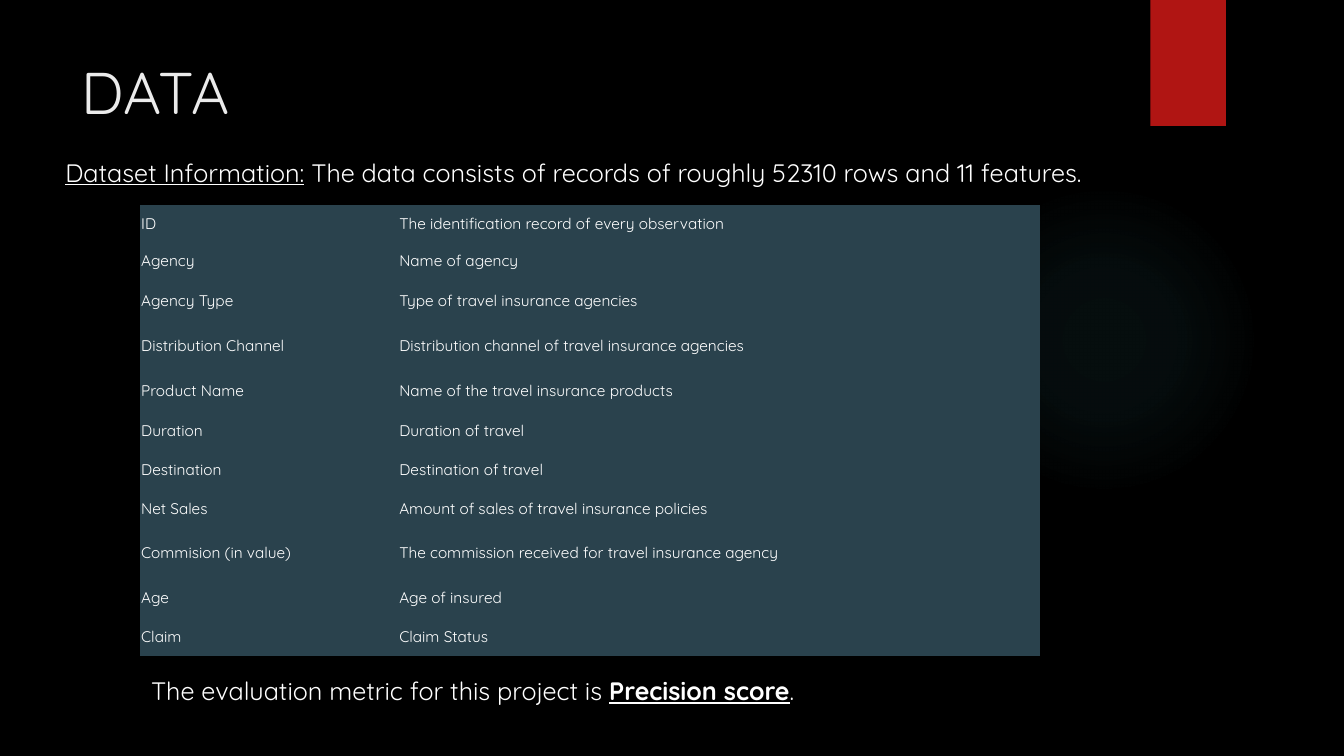
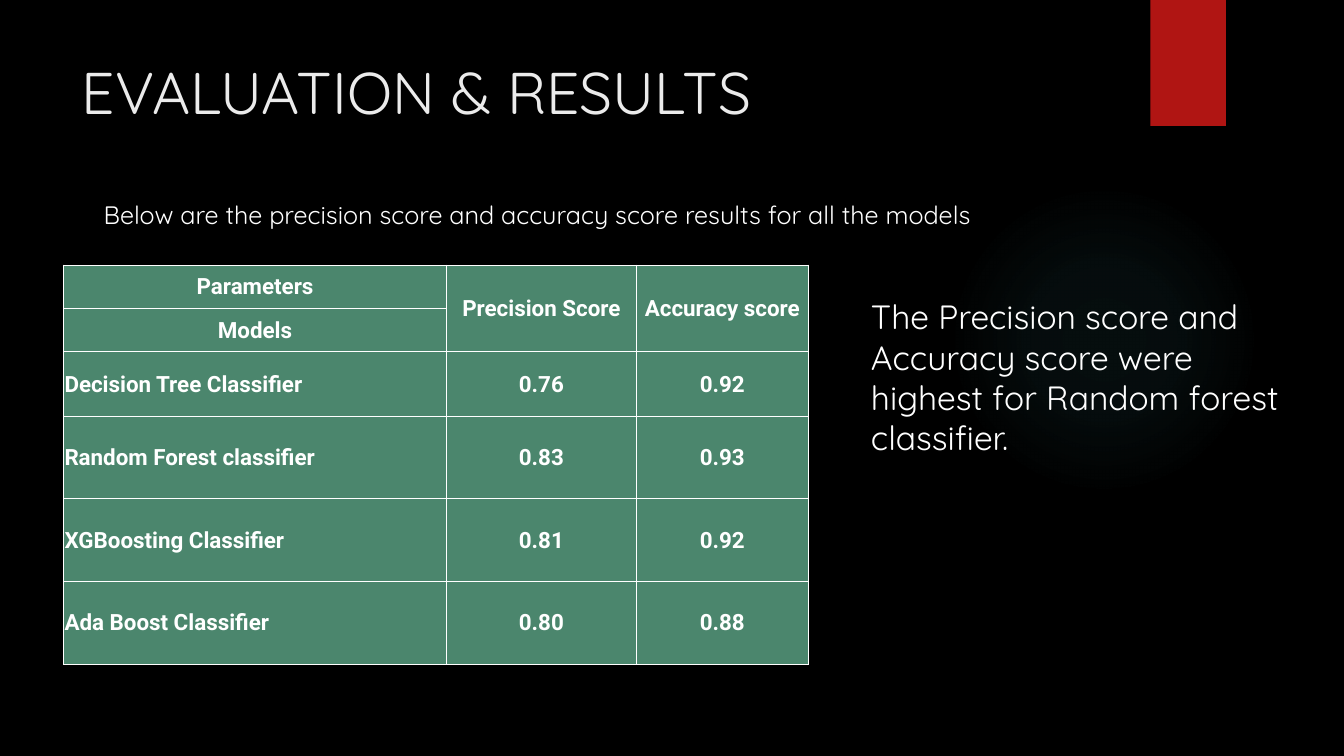
from lxml import etree
from pptx import Presentation
from pptx.dml.color import RGBColor
from pptx.enum.shapes import MSO_SHAPE
from pptx.enum.text import MSO_ANCHOR, MSO_AUTO_SIZE, PP_ALIGN
from pptx.oxml.ns import qn
from pptx.util import Inches, Pt

LEFT, CENTER = PP_ALIGN.LEFT, PP_ALIGN.CENTER
TOP, MIDDLE = MSO_ANCHOR.TOP, MSO_ANCHOR.MIDDLE
NO_AUTOFIT = MSO_AUTO_SIZE.NONE
ELLIPSE, RECTANGLE = MSO_SHAPE.OVAL, MSO_SHAPE.RECTANGLE
TITLE_ONLY = 5

BLACK, WHITE, TITLE_GREY = "000000", "FFFFFF", "EBEBEB"
RED, GLOW_TEAL = "B01513", "50B9C1"
SLATE, GREEN = "2A424D", "4B866D"
BODY_FONT, SCORE_FONT = "Quicksand", "Roboto"
GLOW_STOPS = [(0, 7), (36, 6), (69, 0)]  # position and opacity, in percent

DATA_ROWS = [
    ("ID", "The identification record of every observation"),
    ("Agency", "Name of agency"),
    ("Agency Type", "Type of travel insurance agencies"),
    ("Distribution Channel", "Distribution channel of travel insurance agencies"),
    ("Product Name", "Name of the travel insurance products"),
    ("Duration", "Duration of travel"),
    ("Destination", "Destination of travel"),
    ("Net Sales", "Amount of sales of travel insurance policies"),
    ("Commision (in value)", "The commission received for travel insurance agency"),
    ("Age", "Age of insured"),
    ("Claim", "Claim Status"),
]
DATA_HEIGHTS = [0.36, 0.39, 0.39, 0.51, 0.39, 0.39, 0.39, 0.39, 0.49, 0.39, 0.39]

SCORE_HEADER_ROWS = 2
SCORE_ROWS = [
    ("Parameters", "Precision Score", "Accuracy score"),
    ("Models", "", ""),
    ("Decision Tree Classifier", "0.76", "0.92"),
    ("Random Forest classifier", "0.83", "0.93"),
    ("XGBoosting Classifier", "0.81", "0.92"),
    ("Ada Boost Classifier", "0.80", "0.88"),
]
SCORE_HEIGHTS = [0.43, 0.43, 0.64, 0.82, 0.82, 0.82]


def color(value):
    return RGBColor.from_string(value)


def set_attributes(target, values):
    for name, value in values.items():
        setattr(target, name, value)


def add_color(parent, value, opacity=100):
    node = etree.SubElement(parent, qn("a:srgbClr"), val=value)
    if opacity < 100:
        etree.SubElement(node, qn("a:alpha"), val=str(opacity * 1000))


def set_borders(cell, line_color):
    """Draw all four sides, or hide them when line_color is None."""
    properties = cell._tc.get_or_add_tcPr()
    for side in ("lnL", "lnR", "lnT", "lnB"):
        line = etree.SubElement(properties, qn(f"a:{side}"), w=str(Pt(1)))
        if line_color:
            add_color(etree.SubElement(line, qn("a:solidFill")), line_color)
        else:
            etree.SubElement(line, qn("a:noFill"))


class Slides:
    """Holds the shared style and the page being filled."""

    def __init__(self):
        self.deck = Presentation()
        self.deck.slide_width = Inches(13.33)
        self.deck.slide_height = Inches(7.5)
        self.page = None

    def new_page(self, title):
        layout = self.deck.slide_layouts[TITLE_ONLY]
        self.page = self.deck.slides.add_slide(layout)
        fill = self.page.background.fill
        fill.solid()
        fill.fore_color.rgb = color(BLACK)
        self.add_glow(9.41, 1.83, 3.08)
        self.add_shape(RECTANGLE, 11.41, 0, 0.75, 1.25, RED)
        self.set_title(title)

    def add_shape(self, kind, left, top, width, height, fill):
        shape = self.page.shapes.add_shape(
            kind, Inches(left), Inches(top), Inches(width), Inches(height))
        shape.shadow.inherit = False
        shape.line.fill.background()
        shape.fill.solid()
        shape.fill.fore_color.rgb = color(fill)
        return shape

    def add_glow(self, left, top, size):
        """A faint round light that fades towards its edge."""
        glow = self.add_shape(ELLIPSE, left, top, size, size, GLOW_TEAL)
        gradient = etree.Element(qn("a:gradFill"), rotWithShape="1")
        stops = etree.SubElement(gradient, qn("a:gsLst"))
        for position, opacity in GLOW_STOPS:
            stop = etree.SubElement(stops, qn("a:gs"), pos=str(position * 1000))
            add_color(stop, GLOW_TEAL, opacity)
        circle = etree.SubElement(gradient, qn("a:path"), {"path": "circle"})
        middle = dict.fromkeys("ltrb", "50000")
        etree.SubElement(circle, qn("a:fillToRect"), middle)
        solid = glow.element.spPr.find(qn("a:solidFill"))
        solid.getparent().replace(solid, gradient)

    def set_title(self, text):
        title = self.page.shapes.title
        set_attributes(title, {"left": Inches(0.71), "top": Inches(0.5),
                               "width": Inches(10.29), "height": Inches(1.53)})
        set_attributes(title.text_frame, {"word_wrap": True, "vertical_anchor": TOP,
                                          "auto_size": NO_AUTOFIT})
        self.fill_text(title.text_frame, [(text, {})], 42, text_color=TITLE_GREY)

    def fill_text(self, frame, spans, size, font=BODY_FONT, text_color=WHITE,
                  align=LEFT):
        """Fill the first paragraph with (text, extra font format) spans."""
        para = frame.paragraphs[0]
        para.alignment = align
        for text, extra in spans:
            span = para.add_run()
            span.text = text
            set_attributes(span.font, {"size": Pt(size), "name": font, **extra})
            span.font.color.rgb = color(text_color)

    def add_text(self, left, top, width, height, spans, size=18):
        box = self.page.shapes.add_textbox(
            Inches(left), Inches(top), Inches(width), Inches(height))
        box.text_frame.word_wrap = True
        self.fill_text(box.text_frame, spans, size)

    def add_table(self, left, top, widths, heights, rows, fill, size,
                  font=BODY_FONT, bold=False, border=None, is_centered=None):
        """Build a table; is_centered(row, column) picks the centred cells."""
        table = self.page.shapes.add_table(
            len(rows), len(widths), Inches(left), Inches(top),
            Inches(sum(widths)), Inches(sum(heights))).table
        set_attributes(table, {"first_row": False, "horz_banding": False})
        for column, width in zip(table.columns, widths):
            column.width = Inches(width)
        for row, height in zip(table.rows, heights):
            row.height = Inches(height)
        margins = {f"margin_{side}": Inches(0.01) for side in ("left", "right", "top")}
        cell_format = {**margins, "margin_bottom": 0, "vertical_anchor": MIDDLE}
        for row, texts in enumerate(rows):
            for column, text in enumerate(texts):
                cell = table.cell(row, column)
                set_attributes(cell, cell_format)
                set_borders(cell, border)
                cell.fill.solid()
                cell.fill.fore_color.rgb = color(fill)
                centered = is_centered and is_centered(row, column)
                if text:
                    self.fill_text(cell.text_frame, [(text, {"bold": bold})], size,
                                   font, align=CENTER if centered else LEFT)
        return table


def add_data_page(slides):
    slides.new_page("DATA")
    slides.add_text(0.55, 1.51, 11.45, 0.4, [
        ("Dataset Information:", {"underline": True}),
        (" The data consists of records of roughly 52310 rows and 11 features.", {}),
    ])
    slides.add_table(1.39, 2.03, [2.56, 6.37], DATA_HEIGHTS, DATA_ROWS, SLATE, 11)
    slides.add_text(1.4, 6.65, 10.54, 0.71, [
        ("The evaluation metric for this project is ", {}),
        ("Precision score", {"bold": True, "underline": True}),
        (".", {}),
    ])


def add_results_page(slides):
    slides.new_page("EVALUATION & RESULTS")
    slides.add_text(0.93, 1.93, 11.39, 0.71, [
        ("Below are the precision score and accuracy score results for all the models", {}),
    ])
    table = slides.add_table(
        0.63, 2.63, [3.8, 1.88, 1.71], SCORE_HEIGHTS, SCORE_ROWS, GREEN, 16,
        font=SCORE_FONT, bold=True, border=WHITE,
        is_centered=lambda row, column: row < SCORE_HEADER_ROWS or column > 0)
    for column in (1, 2):
        table.cell(0, column).merge(table.cell(SCORE_HEADER_ROWS - 1, column))
    slides.add_text(8.54, 2.89, 4.32, 1.72, [
        ("The Precision score and Accuracy score were highest for "
         "Random forest classifier.", {}),
    ], size=24)


def main():
    slides = Slides()
    add_data_page(slides)
    add_results_page(slides)
    slides.deck.save("out.pptx")


if __name__ == "__main__":
    main()
